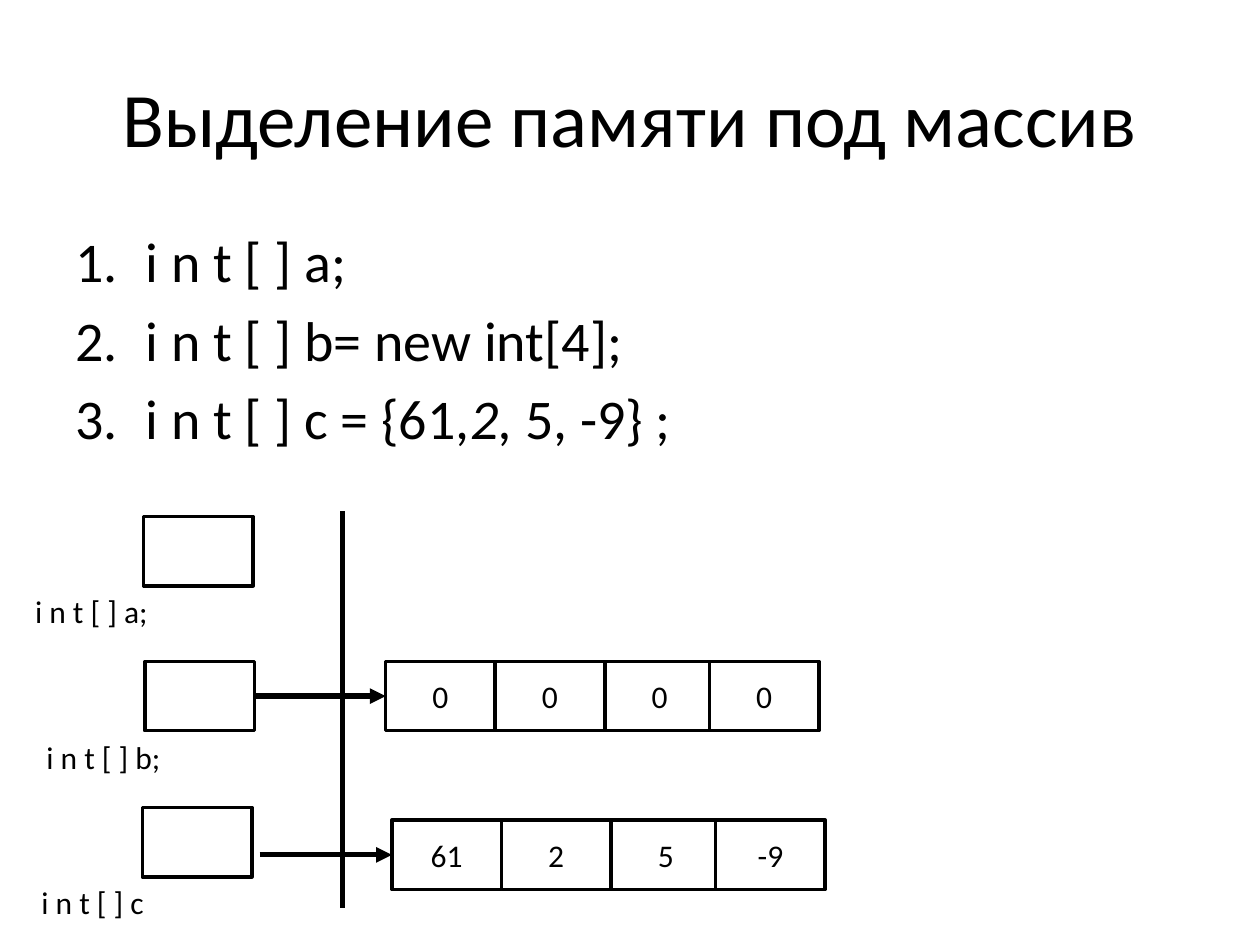
from dataclasses import dataclass
from typing import Optional

from lxml.etree import SubElement
from pptx import Presentation
from pptx.dml.color import RGBColor
from pptx.enum.shapes import MSO_CONNECTOR, MSO_SHAPE
from pptx.enum.text import MSO_ANCHOR, MSO_AUTO_SIZE, PP_ALIGN
from pptx.oxml.ns import qn
from pptx.util import Inches, Pt

COLUMNS = ROWS = 100
INK, PAPER = "000000", "FFFFFF"
CELL_WIDTH, CELL_HEIGHT = 8.7, 7.33
CELL_OFFSETS = (0, 8.7, 17.4, 25.7)


@dataclass(frozen=True)
class Variable:
    label: str
    label_column: float
    label_row: float
    label_width: float
    column: float
    row: float


@dataclass(frozen=True)
class Array:
    values: tuple[str, ...]
    column: float
    row: float
    arrow_column: float
    owner: Optional[int] = None


VARIABLES = (
    Variable("i n t [ ] а;", 1.8, 62, 11.1, 11.4, 54.67),
    Variable("i n t [ ] b;", 2.7, 77.47, 11.2, 11.5, 70),
    Variable("i n t [ ] с", 2.3, 92.8, 10.5, 11.3, 85.47),
)
ARRAYS = (
    Array(("0", "0", "0", "0"), 30.6, 70, 20.2, owner=1),
    Array(("61", "2", "5", "-9"), 31.1, 86.8, 20.6),
)
DECLARATIONS = (
    (("i n t [ ] а;", False),),
    (("i n t [ ] b= new int[4];", False),),
    (("i n t [ ] с = {61,", False), ("2, ", True), ("5, -9} ;", False)),
)

deck = Presentation()
deck.slide_width, deck.slide_height = Inches(10), Inches(7.5)
page = deck.slides.add_slide(deck.slide_layouts[6])


def across(columns: float) -> int:
    return round(deck.slide_width * columns / COLUMNS)


def down(rows: float) -> int:
    return round(deck.slide_height * rows / ROWS)


def colour(value: str) -> RGBColor:
    return RGBColor.from_string(value)


def add_span(para, text: str, *, size: float = 18, italic: bool = False):
    span = para.add_run()
    span.text = text
    span.font.name = "Calibri"
    span.font.size = Pt(size)
    span.font.italic = italic
    span.font.color.rgb = colour(INK)


def add_text(column, row, width, height, text="", *, size=18, align=PP_ALIGN.LEFT,
             anchor=MSO_ANCHOR.TOP, wrap=True):
    box = page.shapes.add_textbox(across(column), down(row), across(width), down(height))
    frame = box.text_frame
    frame.word_wrap = wrap
    frame.auto_size = MSO_AUTO_SIZE.NONE if wrap else MSO_AUTO_SIZE.SHAPE_TO_FIT_TEXT
    frame.vertical_anchor = anchor
    para = frame.paragraphs[0]
    para.alignment = align
    if text:
        add_span(para, text, size=size)
    return box


def add_cell(shapes, column: float, row: float, text: str = ""):
    cell = shapes.add_shape(MSO_SHAPE.RECTANGLE, across(column), down(row),
                            across(CELL_WIDTH), down(CELL_HEIGHT))
    cell.shadow.inherit = False
    cell.fill.solid()
    cell.fill.fore_color.rgb = colour(PAPER)
    cell.line.color.rgb = colour(INK)
    cell.line.width = Pt(2)
    if text:
        cell.text_frame.vertical_anchor = MSO_ANCHOR.MIDDLE
        para = cell.text_frame.paragraphs[0]
        para.alignment = PP_ALIGN.CENTER
        add_span(para, text)
    return cell


def add_line(start: tuple[float, float], end: tuple[float, float], *, arrow: bool = False):
    line = page.shapes.add_connector(MSO_CONNECTOR.STRAIGHT, across(start[0]), down(start[1]),
                                     across(end[0]), down(end[1]))
    line.line.color.rgb = colour(INK)
    line.line.width = Pt(3)
    if arrow:
        SubElement(line.line._get_or_add_ln(), qn("a:tailEnd"), type="triangle")
    SubElement(line._element.spPr, qn("a:effectLst"))
    return line


def add_declarations():
    frame = add_text(5, 23.33, 90, 30.8).text_frame
    for index, spans in enumerate(DECLARATIONS):
        para = frame.add_paragraph() if index else frame.paragraphs[0]
        if index:
            para.space_before = Pt(6.4)
        properties = para._p.get_or_add_pPr()
        properties.set("marL", str(across(5.6)))
        properties.set("indent", str(-across(5.6)))
        SubElement(properties, qn("a:buFont"), typeface="+mj-lt")
        SubElement(properties, qn("a:buAutoNum"), type="arabicPeriod")
        for text, italic in spans:
            add_span(para, text, size=32, italic=italic)


def add_variable(variable: Variable):
    add_text(variable.label_column, variable.label_row, variable.label_width, 5.33,
             variable.label, wrap=False)
    return add_cell(page.shapes, variable.column, variable.row)


def add_array(array: Array, owners: list):
    group = page.shapes.add_group_shape()
    cells = [add_cell(group.shapes, array.column + offset, array.row, value)
             for offset, value in zip(CELL_OFFSETS, array.values)]
    middle = array.row + CELL_HEIGHT / 2
    arrow = add_line((array.arrow_column, middle), (array.column, middle), arrow=True)
    if array.owner is not None:
        arrow.begin_connect(owners[array.owner], 3)
    arrow.end_connect(cells[0], 1)


add_text(5, 4, 90, 16.67, "Выделение памяти под массив", size=44,
         align=PP_ALIGN.CENTER, anchor=MSO_ANCHOR.MIDDLE)
add_declarations()
add_line((27.2, 54.13), (27.2, 96.13))
variable_boxes = [add_variable(variable) for variable in VARIABLES]
for array in ARRAYS:
    add_array(array, variable_boxes)

deck.save("out.pptx")
